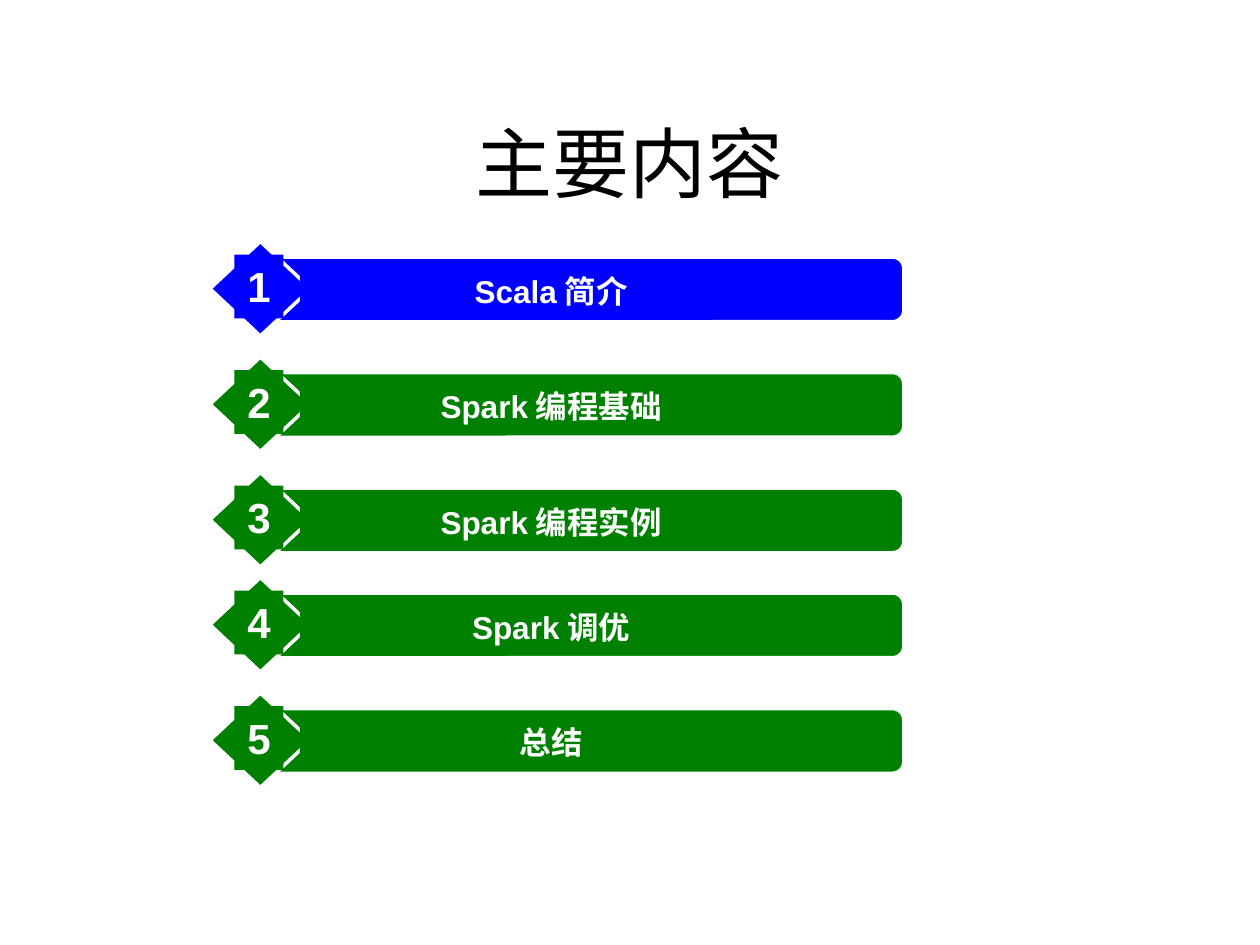
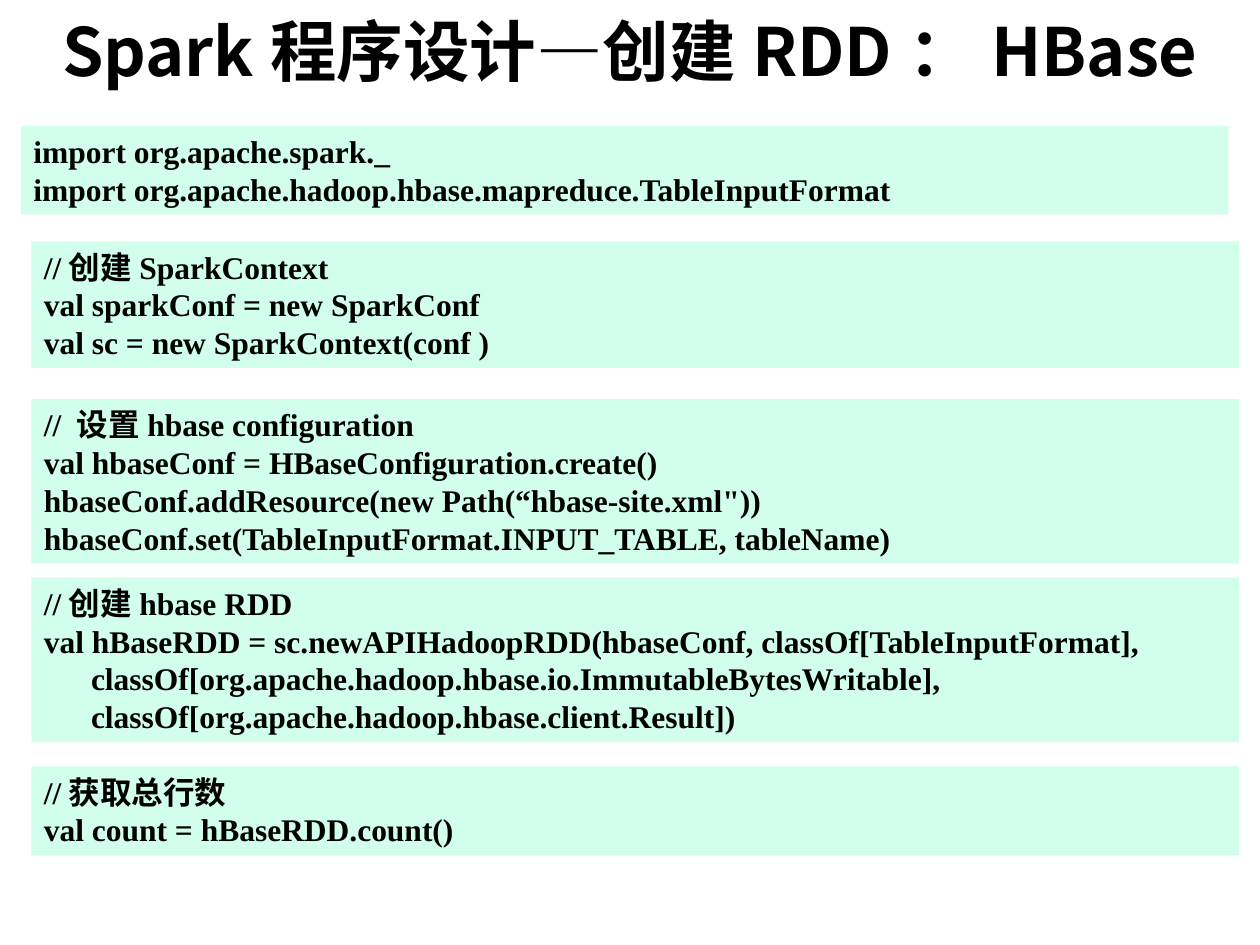
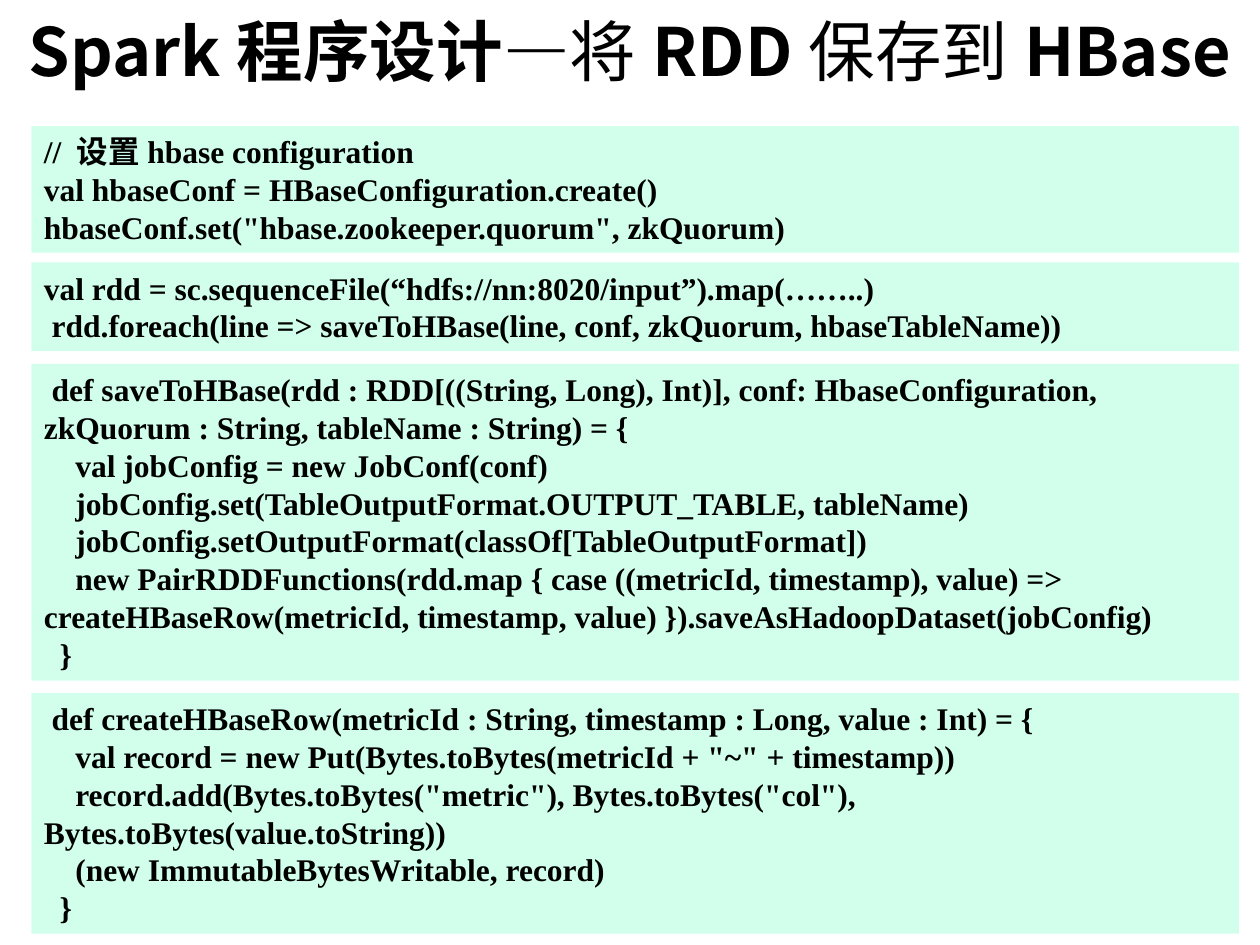
import pptx
import pptx.util
import pptx.dml.color
import pptx.enum.shapes
import pptx.enum.text
import pptx.oxml.ns
from lxml import etree

Pt = pptx.util.Pt
RGB = pptx.dml.color.RGBColor
SHAPE = pptx.enum.shapes.MSO_SHAPE
ALIGN = pptx.enum.text.PP_ALIGN
ANCHOR = pptx.enum.text.MSO_ANCHOR
AUTO = pptx.enum.text.MSO_AUTO_SIZE
qn = pptx.oxml.ns.qn

# Colours and fonts
BLACK = RGB(0x00, 0x00, 0x00)
WHITE = RGB(0xFF, 0xFF, 0xFF)
BLUE = RGB(0x00, 0x00, 0xFF)
GREEN = RGB(0x00, 0x80, 0x00)
MINT = RGB(0xD1, 0xFF, 0xEC)
SANS, CJK, SERIF = "Arial", "Noto Sans CJK SC", "Times New Roman"

# Code blocks
CODE_LEFT, CODE_WIDTH = 18, 690
LINE_HEIGHT, CODE_PADDING = 21.72, 7.2


class Deck:
    def __init__(self):
        self.prs = pptx.Presentation()
        self.prs.slide_width, self.prs.slide_height = Pt(720), Pt(540)
        self.s = None

    def style(self, p, size, font, color, bold=None, align=ALIGN.LEFT):
        p.alignment = align
        p.font.size, p.font.name, p.font.bold = Pt(size), font, bold
        p.font.color.rgb = color
        defaults = p._p.pPr.find(qn("a:defRPr"))
        etree.SubElement(defaults, qn("a:ea")).set("typeface", CJK)

    def slide(self, runs, box=(0, 0, 720, 57), size=38, font=CJK):
        """Add a titled slide; runs are (text, bold) pairs."""
        self.s = self.prs.slides.add_slide(self.prs.slide_layouts[5])
        sp = self.s.shapes.title
        sp.left, sp.top, sp.width, sp.height = map(Pt, box)
        tf = sp.text_frame
        tf.auto_size, tf.vertical_anchor = AUTO.NONE, ANCHOR.MIDDLE
        p = tf.paragraphs[0]
        self.style(p, size, font, BLACK, align=ALIGN.CENTER)
        for text, bold in runs:
            r = p.add_run()
            r.text, r.font.bold = text, bold

    def shape(self, shapes, kind, box, fill, line=None):
        sp = shapes.add_shape(kind, *map(Pt, box))
        sp.shadow.inherit = False
        sp.fill.solid()
        sp.fill.fore_color.rgb = fill
        if line:
            sp.line.color.rgb, sp.line.width = WHITE, Pt(line)
        else:
            sp.line.fill.background()
        return sp

    def text(self, sp, lines, wrap=True, **style):
        tf = sp.text_frame
        tf.word_wrap, tf.auto_size = wrap, AUTO.SHAPE_TO_FIT_TEXT
        tf.vertical_anchor = ANCHOR.TOP
        for i, line in enumerate(lines):
            p = tf.add_paragraph() if i else tf.paragraphs[0]
            p.add_run().text = line
            self.style(p, bold=True, **style)

    def agenda_row(self, top, number, label, color):
        """Add a bar with a numbered star badge at its left end."""
        shapes = self.s.shapes.add_group_shape().shapes
        bar = self.shape(shapes, SHAPE.ROUNDED_RECTANGLE,
                         (152, top + 9.4, 364, 36), color, 1)
        bar.adjustments[0] = 0.167
        self.shape(shapes, SHAPE.DIAMOND, (120, top, 57.6, 54), color, 2)
        white = dict(font=SANS, color=WHITE, align=ALIGN.CENTER)
        sp = self.shape(shapes, SHAPE.RECTANGLE,
                        (171.4, top + 13.7, 287, 29), color)
        self.text(sp, [label], size=18, **white)
        sp = self.shape(shapes, SHAPE.RECTANGLE,
                        (134, top + 7.5, 28, 36.5), color)
        self.text(sp, [str(number)], wrap=False, size=24, **white)

    def code(self, top, lines, left=CODE_LEFT, wrapped=0):
        """Add a code block; wrapped counts the extra lines from wrapping."""
        height = CODE_PADDING + LINE_HEIGHT * (len(lines) + wrapped)
        sp = self.shape(self.s.shapes, SHAPE.RECTANGLE,
                        (left, top, CODE_WIDTH, height), MINT)
        self.text(sp, lines, size=18, font=SERIF, color=BLACK)


def main():
    d = Deck()

    # Agenda
    d.slide([("主要内容", False)], (36, 65.5, 648, 54), 44, SANS)
    tops = (138, 204, 270, 330, 396)
    labels = ("Scala简介", "Spark编程基础", "Spark编程实例", "Spark调优", "总结")
    for number, (top, label) in enumerate(zip(tops, labels), 1):
        d.agenda_row(top, number, label, BLUE if number == 1 else GREEN)

    # Creating an RDD from HBase
    d.slide([("Spark程序设计—创建RDD：HBase", True)])
    d.code(72, [
        "import org.apache.spark._",
        "import org.apache.hadoop.hbase.mapreduce.TableInputFormat",
    ], left=12)
    d.code(138, [
        "//创建SparkContext",
        "val sparkConf = new SparkConf",
        "val sc = new SparkContext(conf )",
    ])
    d.code(228, [
        "// 设置hbase configuration",
        "val hbaseConf = HBaseConfiguration.create()",
        'hbaseConf.addResource(new Path(“hbase-site.xml"))',
        "hbaseConf.set(TableInputFormat.INPUT_TABLE, tableName)",
    ])
    d.code(330, [
        "//创建hbase RDD",
        "val hBaseRDD = sc.newAPIHadoopRDD(hbaseConf, classOf[TableInputFormat],",
        "      classOf[org.apache.hadoop.hbase.io.ImmutableBytesWritable],",
        "      classOf[org.apache.hadoop.hbase.client.Result])",
    ])
    d.code(438, ["//获取总行数", "val count = hBaseRDD.count()"])

    # Saving an RDD to HBase
    d.slide([("Spark程序设计—", True), ("将", False), ("RDD", True),
             ("保存到", False), ("HBase", True)])
    d.code(72, [
        "// 设置hbase configuration",
        "val hbaseConf = HBaseConfiguration.create()",
        'hbaseConf.set("hbase.zookeeper.quorum", zkQuorum)',
    ])
    d.code(150, [
        "val rdd = sc.sequenceFile(“hdfs://nn:8020/input”).map(……..)",
        " rdd.foreach(line => saveToHBase(line, conf, zkQuorum, hbaseTableName))",
    ])
    d.code(208, [
        " def saveToHBase(rdd : RDD[((String, Long), Int)], conf: HbaseConfiguration, "
        "zkQuorum : String, tableName : String) = {",
        "    val jobConfig = new JobConf(conf)",
        "    jobConfig.set(TableOutputFormat.OUTPUT_TABLE, tableName)",
        "    jobConfig.setOutputFormat(classOf[TableOutputFormat])",
        "    new PairRDDFunctions(rdd.map { case ((metricId, timestamp), value) => "
        "createHBaseRow(metricId, timestamp, value) }).saveAsHadoopDataset(jobConfig)",
        "  }",
    ], wrapped=2)
    d.code(396, [
        " def createHBaseRow(metricId : String, timestamp : Long, value : Int) = {",
        '    val record = new Put(Bytes.toBytes(metricId + "~" + timestamp))',
        '    record.add(Bytes.toBytes("metric"), Bytes.toBytes("col"), '
        "Bytes.toBytes(value.toString))",
        "    (new ImmutableBytesWritable, record)",
        "  }",
    ], wrapped=1)

    d.prs.save("out.pptx")


if __name__ == "__main__":
    main()
